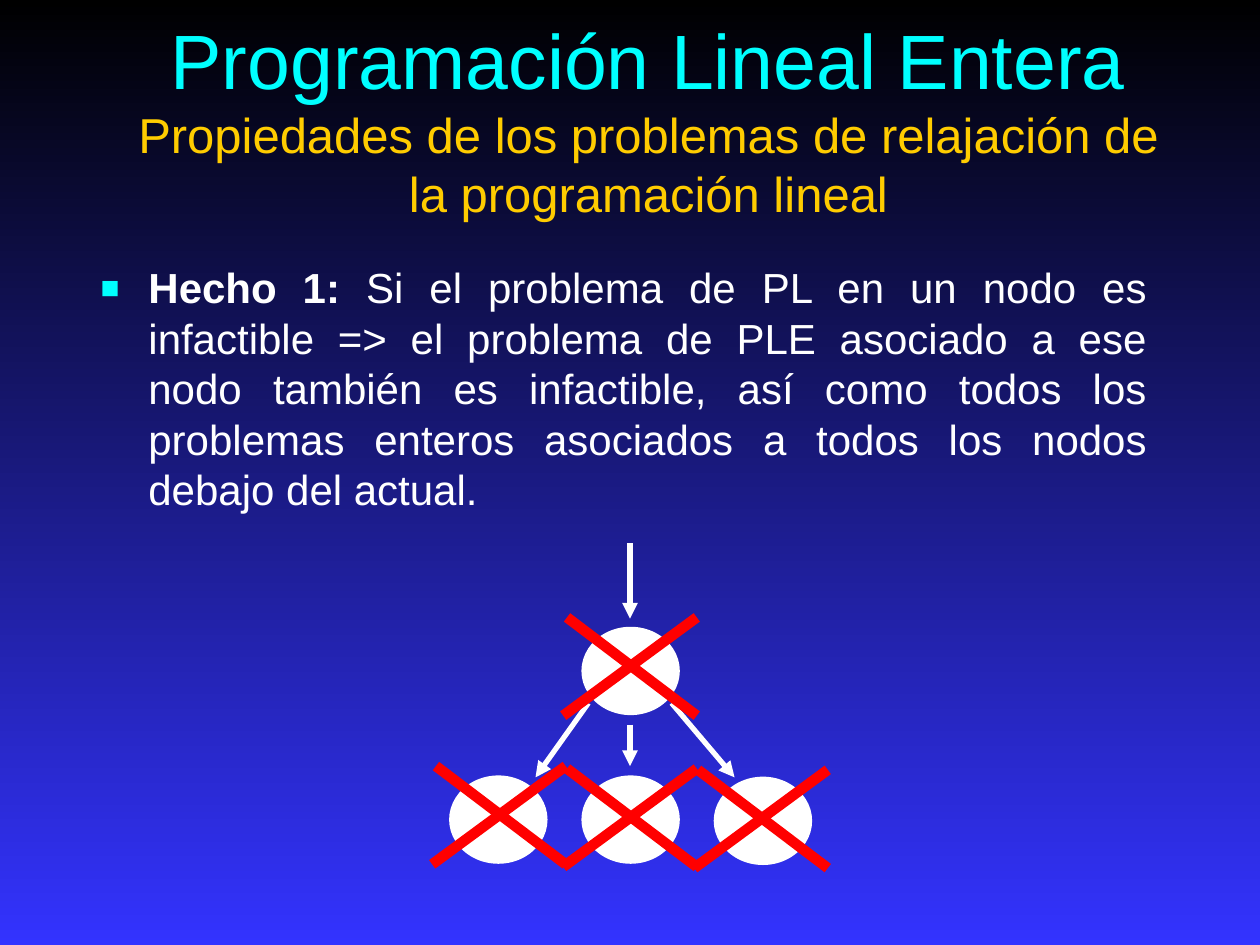
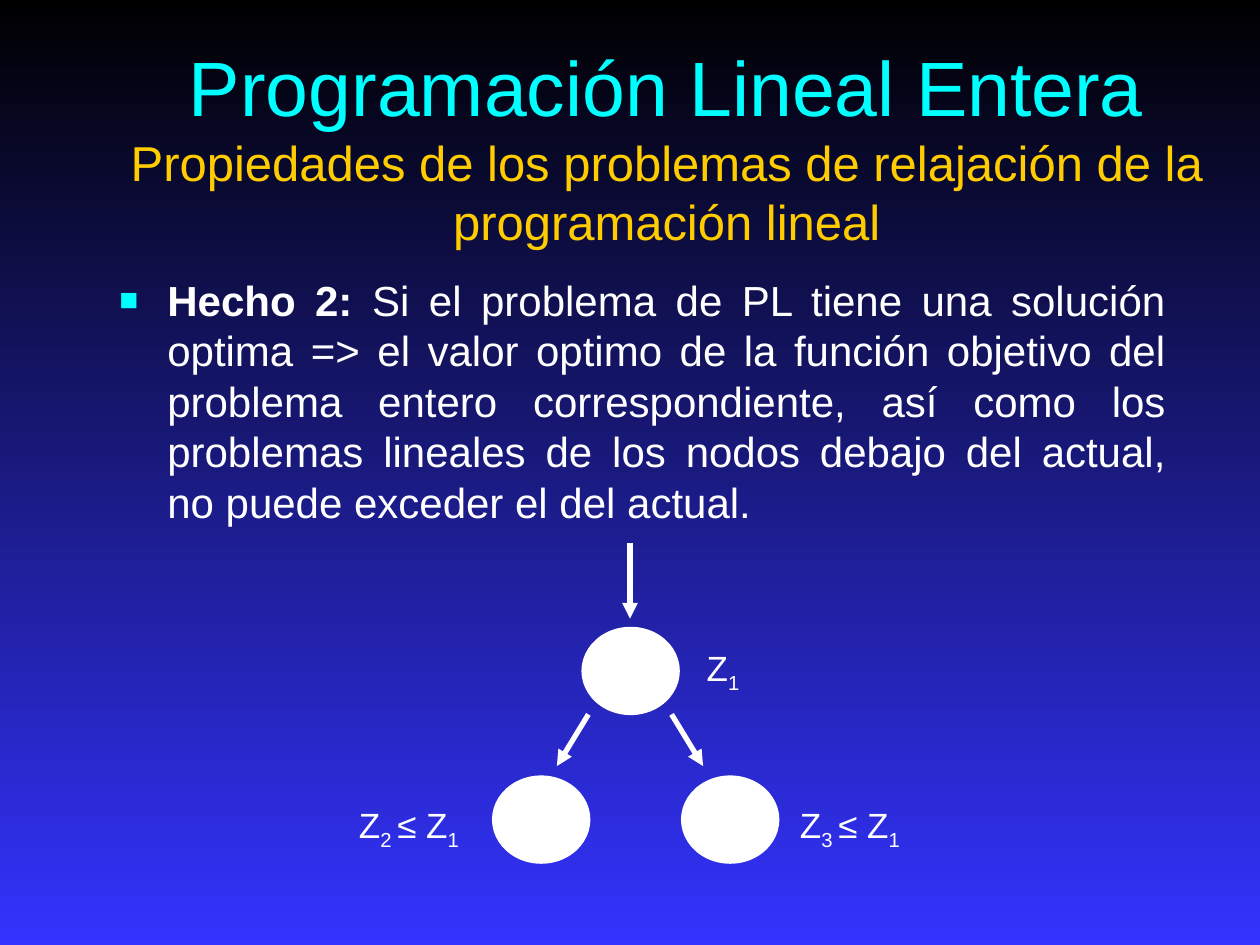
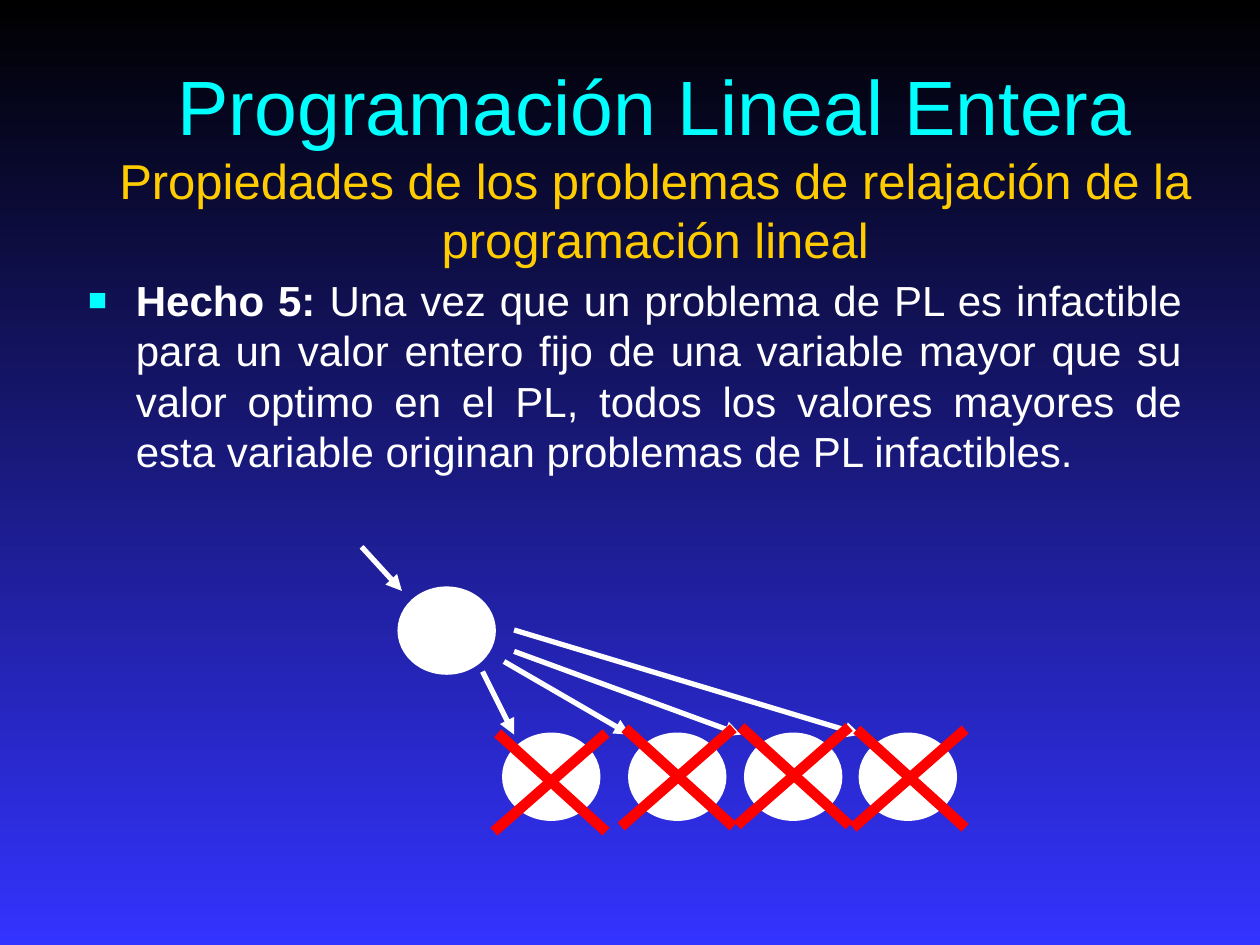
from lxml.etree import SubElement
from pptx import Presentation
from pptx.dml.color import RGBColor
from pptx.enum.shapes import MSO_CONNECTOR, MSO_SHAPE
from pptx.enum.text import MSO_ANCHOR, PP_ALIGN
from pptx.oxml.ns import qn
from pptx.util import Inches, Pt

BLACK = RGBColor(0x00, 0x00, 0x00)
BLUE = RGBColor(0x33, 0x33, 0xFF)
CYAN = RGBColor(0x00, 0xFF, 0xFF)
GOLD = RGBColor(0xFF, 0xCC, 0x00)
WHITE = RGBColor(0xFF, 0xFF, 0xFF)
RED = RGBColor(0xFF, 0x00, 0x00)

FONT = "Arial"
TITLE = "Programación Lineal Entera "
SUBTITLE = "Propiedades de los problemas de relajación de la programación lineal"
NODE_WIDTH, NODE_HEIGHT = 0.75, 0.67
CROSS_HEIGHT, CROSS_INSET = 0.78, 0.03


def set_background(master):
    fill = master.background.fill
    fill.gradient()
    fill.gradient_angle = 270
    for stop, color in zip(fill.gradient_stops, (BLACK, BLUE)):
        stop.color.rgb = color


def add_text(slide, box, wrap=True, anchor=MSO_ANCHOR.TOP):
    """Add a text box and return its first paragraph."""
    frame = slide.shapes.add_textbox(*map(Inches, box)).text_frame
    frame.word_wrap = wrap
    frame.vertical_anchor = anchor
    return frame.paragraphs[0]


def add_run(paragraph, text, baseline=0, color=WHITE, **font_format):
    run = paragraph.add_run()
    run.text = text
    run.font.color.rgb = color
    for name, value in {"name": FONT, **font_format}.items():
        setattr(run.font, name, value)
    if baseline:
        run._r.get_or_add_rPr().set("baseline", str(baseline * 1000))


def add_title(slide, box):
    paragraph = add_text(slide, box, anchor=MSO_ANCHOR.MIDDLE)
    paragraph.alignment = PP_ALIGN.CENTER
    add_run(paragraph, TITLE, color=CYAN, size=Pt(44))
    add_run(paragraph, SUBTITLE, color=GOLD, size=Pt(28))


def add_fact(slide, box, heading, statement):
    """Add a justified paragraph with a square bullet and a bold heading."""
    paragraph = add_text(slide, box)
    paragraph.alignment = PP_ALIGN.JUSTIFY
    paragraph.space_before = Pt(6)
    properties = paragraph._p.get_or_add_pPr()
    properties.set("marL", str(Inches(0.38)))
    properties.set("indent", str(-Inches(0.38)))
    bullet_color = SubElement(properties, qn("a:buClr"))
    SubElement(bullet_color, qn("a:srgbClr"), val=str(CYAN))
    SubElement(properties, qn("a:buSzPct"), val="75000")
    SubElement(properties, qn("a:buFont"), typeface=FONT)
    SubElement(properties, qn("a:buChar"), char="■")
    add_run(paragraph, heading, size=Pt(24), bold=True)
    add_run(paragraph, " " + statement, size=Pt(24), bold=False)


def add_line(slide, start, end, color=WHITE, width=3, arrow=True):
    connector = slide.shapes.add_connector(
        MSO_CONNECTOR.STRAIGHT, *map(Inches, (*start, *end)))
    connector.line.color.rgb = color
    connector.line.width = Pt(width)
    if arrow:
        SubElement(connector.line._get_or_add_ln(), qn("a:tailEnd"), type="triangle")
    SubElement(connector._element.spPr, qn("a:effectLst"))


def add_node(slide, left, top):
    node = slide.shapes.add_shape(
        MSO_SHAPE.OVAL, *map(Inches, (left, top, NODE_WIDTH, NODE_HEIGHT)))
    node.shadow.inherit = False
    node.fill.solid()
    node.fill.fore_color.rgb = WHITE
    node.line.color.rgb = WHITE
    node.line.width = Pt(2.25)


def add_cross(slide, left, top, width):
    right, bottom = left + width, top + CROSS_HEIGHT
    for start, end in (((left, bottom), (right, top)),
                       ((right, bottom), (left + CROSS_INSET, top))):
        add_line(slide, start, end, color=RED, width=6, arrow=False)


def add_label(slide, left, top, parts):
    """Add a formula; every second part is a subscript."""
    paragraph = add_text(slide, (left, top, 1.02, 0.48), wrap=False)
    for index, part in enumerate(parts):
        add_run(paragraph, part, baseline=-25 * (index % 2), size=Pt(20))


def add_tree(slide, origin, nodes, arrows, crosses=(), cross_width=1.06, labels=()):
    """Draw a branching tree whose points are relative to origin."""
    x, y = origin
    for left, top in nodes:
        add_node(slide, x + left, y + top)
    for x1, y1, x2, y2 in arrows:
        add_line(slide, (x + x1, y + y1), (x + x2, y + y2))
    for left, top in crosses:
        add_cross(slide, x + left, y + top, cross_width)
    for left, top, parts in labels:
        add_label(slide, x + left, y + top, parts)


def add_infeasible_tree(slide, origin):
    add_tree(
        slide, origin,
        nodes=[(1.63, 0.99), (0.58, 2.17), (1.63, 2.17), (2.68, 2.18)],
        arrows=[(2, 0.31, 2, 0.91), (1.67, 1.58, 1.25, 2.17),
                (2, 1.75, 2, 2.08), (2.33, 1.58, 2.83, 2.17)],
        crosses=[(1.47, 0.9), (0.43, 2.08), (1.47, 2.1), (2.51, 2.11)])


def add_bounded_tree(slide, origin):
    add_tree(
        slide, origin,
        nodes=[(1.63, 0.99), (0.92, 2.17), (2.42, 2.17)],
        arrows=[(2, 0.31, 2, 0.91), (1.67, 1.67, 1.42, 2.08),
                (2.33, 1.67, 2.58, 2.08)],
        labels=[(2.51, 1.08, ("Z", "1")),
                (3.25, 2.33, ("Z", "3 ", "≤ Z", "1")),
                (-0.25, 2.33, ("Z", "2 ", "≤ Z", "1"))])


def add_fixed_value_tree(slide, origin):
    children = [(left, 1.83) for left in (2, 3, 3.92, 4.83)]
    add_tree(
        slide, origin,
        nodes=[(1.17, 0.67), *children],
        arrows=[(0.87, 0.34, 1.19, 0.69), (1.83, 1.33, 2.08, 1.83),
                (2, 1.25, 3, 1.83), (2.08, 1, 4.83, 1.83),
                (2.08, 1.17, 3.88, 1.83)],
        crosses=[(1.92, 1.82), (2.93, 1.78), (3.85, 1.77), (4.77, 1.79)],
        cross_width=0.89)


SLIDES = [
    {"title_box": (0.84, 0.21, 8.61, 1.44), "fact_box": (0.7, 2.03, 8.5, 4.5),
     "heading": "Hecho 1:",
     "statement": "Si el problema de PL en un nodo es infactible => el problema de PLE "
                  "asociado a ese nodo también es infactible, así como todos los problemas "
                  "enteros asociados a todos los nodos debajo del actual.",
     "tree": add_infeasible_tree, "origin": (3, 4)},
    {"title_box": (0.93, 0.38, 8.72, 1.54), "fact_box": (0.85, 2.13, 8.5, 4.5),
     "heading": "Hecho 2:",
     "statement": "Si el problema de PL tiene una solución optima => el valor optimo de la "
                  "función objetivo del problema entero correspondiente, así como los "
                  "problemas lineales de los nodos debajo del actual, no puede exceder el "
                  "del actual.",
     "tree": add_bounded_tree, "origin": (3, 4)},
    {"title_box": (0.65, 0.67, 9.1, 1.25), "fact_box": (0.6, 2.13, 8.88, 4.5),
     "heading": "Hecho 5:",
     "statement": "Una vez que un problema de PL es infactible para un valor entero fijo de "
                  "una variable mayor que su valor optimo en el PL, todos los valores "
                  "mayores de esta variable originan problemas de PL infactibles.",
     "tree": add_fixed_value_tree, "origin": (2, 4)},
]


def main():
    presentation = Presentation()
    presentation.slide_width, presentation.slide_height = Inches(10), Inches(7.5)
    set_background(presentation.slide_master)
    for content in SLIDES:
        slide = presentation.slides.add_slide(presentation.slide_layouts[6])
        add_title(slide, content["title_box"])
        add_fact(slide, content["fact_box"], content["heading"], content["statement"])
        content["tree"](slide, content["origin"])
    presentation.save("out.pptx")


if __name__ == "__main__":
    main()
